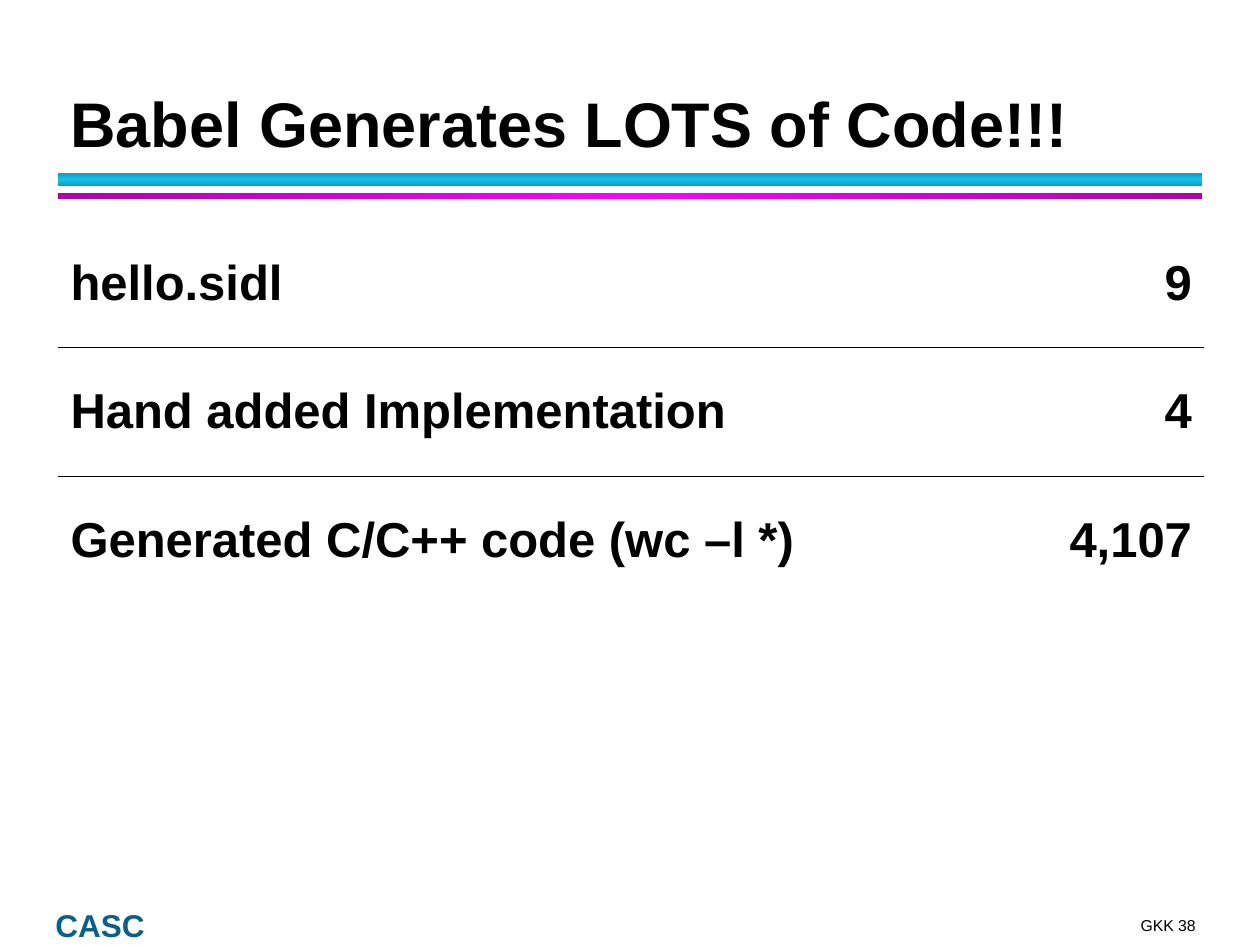
from copy import deepcopy

from pptx import Presentation
from pptx.dml.color import RGBColor
from pptx.enum.shapes import MSO_SHAPE as Shape
from pptx.enum.text import MSO_ANCHOR as Anchor, PP_ALIGN as Align
from pptx.oxml import parse_xml
from pptx.oxml.ns import nsdecls, qn
from pptx.util import Inches, Pt

BLACK = RGBColor(0x00, 0x00, 0x00)
TEAL = RGBColor(0x0A, 0x60, 0x89)
CYAN_EDGE = RGBColor(0x0E, 0x9A, 0xB9)
CYAN_MIDDLE = RGBColor(0x12, 0xC2, 0xE9)
MAGENTA_EDGE = RGBColor(0xB1, 0x00, 0xB1)
MAGENTA_MIDDLE = RGBColor(0xFF, 0x00, 0xFF)

LINE_COUNTS = [
    ("hello.sidl", "9"),
    ("Hand added Implementation", "4"),
    ("Generated C/C++ code (wc –l *)", "4,107"),
]


def style_paragraph(para, size, color=BLACK, bold=False, align=Align.LEFT):
    para.alignment = align
    for run in para.runs:
        run.font.name = "Arial"
        run.font.size = Pt(size)
        run.font.bold = bold
        run.font.color.rgb = color


def add_text(page, text, left, top, width, height, inset=(0, 0), **style):
    box = page.shapes.add_textbox(Inches(left), Inches(top), Inches(width), Inches(height))
    frame = box.text_frame
    frame.word_wrap = True
    frame.vertical_anchor = Anchor.BOTTOM
    frame.margin_left = frame.margin_right = Inches(inset[0])
    frame.margin_top = frame.margin_bottom = Inches(inset[1])
    frame.text = text
    style_paragraph(frame.paragraphs[0], **style)
    return frame.paragraphs[0]


def add_gradient_bar(page, left, top, width, height, edge, middle, angle):
    """Draw a bar that shades from edge to middle and back to edge."""
    bar = page.shapes.add_shape(
        Shape.RECTANGLE, Inches(left), Inches(top), Inches(width), Inches(height))
    bar.shadow.inherit = False
    bar.line.fill.background()
    bar.fill.gradient()
    bar.fill.gradient_angle = angle
    stop_list = bar._element.spPr.find(qn("a:gradFill")).find(qn("a:gsLst"))
    stop_list.append(deepcopy(stop_list[-1]))
    for stop, position, color in zip(
            bar.fill.gradient_stops, (0, 0.5, 1), (edge, middle, edge)):
        stop.position = position
        stop.color.rgb = color


def add_header(page, left, top, width):
    add_text(page, "Babel Generates LOTS of Code!!!", left, top, width, 0.99,
             inset=(0.1, 0.05), size=36, bold=True)
    add_gradient_bar(page, left, top + 1.04, width, 0.11, CYAN_EDGE, CYAN_MIDDLE, 90)
    add_gradient_bar(page, left, top + 1.2, width, 0.05, MAGENTA_EDGE, MAGENTA_MIDDLE, 0)


def set_borders(cell, ruled_edges):
    """Rule the named edges (L, R, T, B) thinly and clear the others."""
    for index, edge in enumerate("LRTB"):
        if edge in ruled_edges:
            fill = f'<a:solidFill><a:srgbClr val="{BLACK}"/></a:solidFill>'
        else:
            fill = "<a:noFill/>"
        border = parse_xml(f'<a:ln{edge} {nsdecls("a")} w="{Pt(0.45)}">{fill}</a:ln{edge}>')
        cell._tc.get_or_add_tcPr().insert(index, border)


def add_count_table(page, left, top, column_widths, row_height):
    row_total = len(LINE_COUNTS)
    table = page.shapes.add_table(
        row_total, len(column_widths), Inches(left), Inches(top),
        Inches(sum(column_widths)), Inches(row_height * row_total)).table
    table.first_row = table.horz_banding = False
    for column, width in zip(table.columns, column_widths):
        column.width = Inches(width)
    for row_index, texts in enumerate(LINE_COUNTS):
        edges = ("T" if row_index > 0 else "") + ("B" if row_index < row_total - 1 else "")
        for column_index, (text, align) in enumerate(zip(texts, (Align.LEFT, Align.RIGHT))):
            cell = table.cell(row_index, column_index)
            cell.text_frame.text = text
            cell.vertical_anchor = Anchor.MIDDLE
            cell.fill.background()
            set_borders(cell, edges)
            style_paragraph(cell.text_frame.paragraphs[0], 28, bold=True, align=align)


def add_footer(page, left, right, bottom):
    label = add_text(page, "CASC", left, bottom - 0.28, 0.77, 0.28,
                     size=18, color=TEAL, bold=True)
    label.line_spacing = Pt(20)
    add_text(page, "GKK 38", right - 0.73, bottom - 0.22, 0.73, 0.15,
             size=9, align=Align.RIGHT)


def main():
    deck = Presentation()
    deck.slide_width, deck.slide_height = Inches(10), Inches(7.5)
    page = deck.slides.add_slide(deck.slide_layouts[6])
    add_header(page, 0.46, 0.33, 9.08)
    add_count_table(page, 0.46, 1.74, (7.13, 1.97), 1.02)
    add_footer(page, 0.44, 9.49, 7.49)
    deck.save("out.pptx")


if __name__ == "__main__":
    main()
